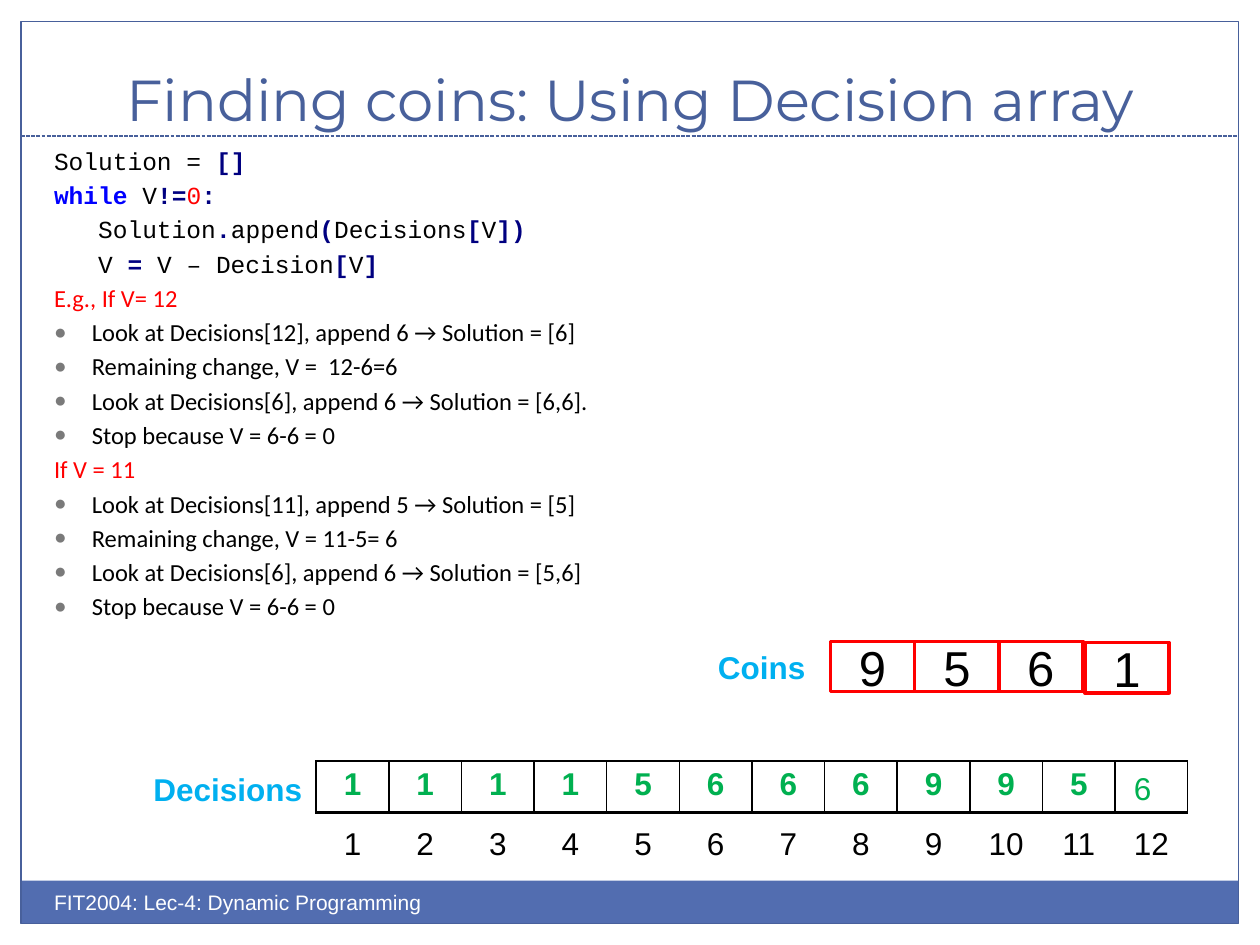
from dataclasses import dataclass

from lxml import etree
from pptx import Presentation
from pptx.dml.color import RGBColor
from pptx.enum.dml import MSO_LINE
from pptx.enum.shapes import MSO_CONNECTOR, MSO_SHAPE
from pptx.enum.text import MSO_ANCHOR, PP_ALIGN
from pptx.oxml.ns import qn
from pptx.util import Pt

RECTANGLE = MSO_SHAPE.RECTANGLE
STRAIGHT = MSO_CONNECTOR.STRAIGHT
DASH = MSO_LINE.SQUARE_DOT
TOP, MIDDLE, BOTTOM = MSO_ANCHOR.TOP, MSO_ANCHOR.MIDDLE, MSO_ANCHOR.BOTTOM
LEFT, CENTER = PP_ALIGN.LEFT, PP_ALIGN.CENTER

COLORS = {
    "frame": "48609B", "bar": "526DB0", "white": "FFFFFF", "black": "000000",
    "operator": "000080", "keyword": "0000FF", "red": "FF0000",
    "bullet": "7A7A7A", "label": "00B0F0", "decision": "00B050",
}
TABLE_LEFT, CELL_WIDTH, CELL_HEIGHT = 180.7, 41.52, 29.2


@dataclass(frozen=True)
class Box:
    left: float
    top: float
    width: float
    height: float

    def lengths(self) -> tuple:
        return Pt(self.left), Pt(self.top), Pt(self.width), Pt(self.height)


@dataclass(frozen=True)
class Style:
    size: float
    color: str
    font: str = "Arial"
    bold: bool = False


@dataclass(frozen=True)
class Label:
    text: str
    box: Box
    style: Style
    align: PP_ALIGN = LEFT
    anchor: MSO_ANCHOR = TOP
    wrap: bool = True


@dataclass(frozen=True)
class Line:
    spans: tuple  # (text, style) pairs
    bullet: bool = False


def rgb(name: str) -> RGBColor:
    return RGBColor.from_string(COLORS[name])


def format_font(font, style: Style) -> None:
    font.name, font.size, font.bold = style.font, Pt(style.size), style.bold
    font.color.rgb = rgb(style.color)


def write(frame, text: str, style: Style, align: PP_ALIGN) -> None:
    frame.text = text
    para = frame.paragraphs[0]
    para.alignment = align
    format_font(para.runs[0].font, style)


def draw_label(page, label: Label):
    shape = page.shapes.add_textbox(*label.box.lengths())
    frame = shape.text_frame
    frame.word_wrap, frame.vertical_anchor = label.wrap, label.anchor
    write(frame, label.text, label.style, label.align)
    return shape


def draw_rectangle(page, box: Box, fill: str = "", line: str = "", weight: float = 0.75):
    shape = page.shapes.add_shape(RECTANGLE, *box.lengths())
    shape.shadow.inherit = False
    if fill:
        shape.fill.solid()
        shape.fill.fore_color.rgb = rgb(fill)
    else:
        shape.fill.background()
    if line:
        shape.line.color.rgb = rgb(line)
        shape.line.width = Pt(weight)
    else:
        shape.line.fill.background()
    return shape


def set_borders(cell, weights: dict) -> None:
    properties = cell._tc.get_or_add_tcPr()
    for position, (side, weight) in enumerate(weights.items()):
        border = etree.Element(qn(f"a:{side}"), w=str(Pt(weight)))
        if weight:
            fill = etree.SubElement(border, qn("a:solidFill"))
            etree.SubElement(fill, qn("a:srgbClr"), val=COLORS["black"])
        else:
            etree.SubElement(border, qn("a:noFill"))
        properties.insert(position, border)


def draw_row(page, top: float, values: list, style: Style, weights: dict) -> None:
    box = Box(TABLE_LEFT, top, CELL_WIDTH * len(values), CELL_HEIGHT)
    table = page.shapes.add_table(1, len(values), *box.lengths()).table
    table.first_row = table.horz_banding = False
    for column, value in enumerate(values):
        table.columns[column].width = Pt(CELL_WIDTH)
        cell = table.cell(0, column)
        cell.fill.background()
        set_borders(cell, weights)
        if value:
            write(cell.text_frame, value, style, CENTER)


def add_bullet(para) -> None:
    properties = para._p.get_or_add_pPr()
    properties.set("marL", str(Pt(21.6)))
    properties.set("indent", str(-Pt(21.6)))
    color = etree.SubElement(properties, qn("a:buClr"))
    etree.SubElement(color, qn("a:srgbClr"), val=COLORS["bullet"])
    etree.SubElement(properties, qn("a:buSzPct"), val="85000")
    etree.SubElement(properties, qn("a:buFont"), typeface="Arial")
    etree.SubElement(properties, qn("a:buChar"), char="●")


def draw_lines(page, box: Box, lines: list) -> None:
    frame = page.shapes.add_textbox(*box.lengths()).text_frame
    frame.word_wrap = True
    for index, line in enumerate(lines):
        para = frame.add_paragraph() if index else frame.paragraphs[0]
        para.line_spacing = Pt(19.6)
        if line.bullet:
            add_bullet(para)
        for text, style in line.spans:
            span = para.add_run()
            span.text = text
            format_font(span.font, style)


CODE = Style(14, "black", "Courier New")
OPERATOR = Style(14, "operator", "Courier New", True)
KEYWORD = Style(14, "keyword", "Courier New", True)
NUMBER = Style(14, "red", "Courier New")
STEP = Style(14, "black", "Calibri")
CASE = Style(14, "red", "Calibri")
LABEL = Style(18, "label", bold=True)

CODE_LINES = [
    Line((("Solution = ", CODE), ("[]", OPERATOR))),
    Line((("while", KEYWORD), (" V", CODE), ("!=", OPERATOR), ("0", NUMBER), (":", OPERATOR))),
    Line((("   Solution", CODE), (".", OPERATOR), ("append", CODE), ("(", OPERATOR),
          ("Decisions", CODE), ("[", OPERATOR), ("V", CODE), ("])", OPERATOR))),
    Line((("   V ", CODE), ("=", OPERATOR), (" V – Decision", CODE),
          ("[", OPERATOR), ("V", CODE), ("]", OPERATOR))),
]
CASES = {
    "E.g., If V= 12": [
        "Look at Decisions[12], append 6 → Solution = [6]", "Remaining change, V =  12-6=6",
        "Look at Decisions[6], append 6 → Solution = [6,6].", "Stop because V = 6-6 = 0"],
    "If V = 11": [
        "Look at Decisions[11], append 5 → Solution = [5]", "Remaining change, V = 11-5= 6",
        "Look at Decisions[6], append 6 → Solution = [5,6]", "Stop because V = 6-6 = 0"],
}
LABELS = [
    Label("Coins", Box(403.2, 366.5, 64.8, 29), LABEL, wrap=False),
    Label("Decisions", Box(80.6, 436.3, 100, 29), LABEL, wrap=False),
    Label("6", Box(640.8, 435.6, 24.5, 29), Style(18, "decision"), wrap=False),
    Label("FIT2004: Lec-4: Dynamic Programming", Box(23.8, 504.7, 360, 28.8), Style(12, "white")),
]
COINS = [("9", 474.5, 366.5), ("5", 522.7, 366.5), ("6", 570.6, 366.5), ("1", 619.9, 367.2)]


def main() -> None:
    deck = Presentation()
    deck.slide_width, deck.slide_height = Pt(720), Pt(540)
    page = deck.slides.add_slide(deck.slide_layouts[6])

    # Frame, footer bar and title rule
    draw_rectangle(page, Box(11.8, 503.3, 695.8, 24.5), fill="bar")
    draw_rectangle(page, Box(12, 12.2, 695.8, 515.6), line="frame")
    rule = page.shapes.add_connector(STRAIGHT, Pt(12), Pt(77.8), Pt(707.8), Pt(77.8))
    rule.line.color.rgb, rule.line.width = rgb("frame"), Pt(0.75)
    rule.line.dash_style = DASH
    etree.SubElement(rule._element.spPr, qn("a:effectLst"))

    # Title
    title = draw_label(page, Label("Finding coins: Using Decision array", Box(24, 18, 672, 59.8),
                                   Style(33, "frame", "Montserrat"), CENTER, BOTTOM))
    title.text_frame.margin_bottom = Pt(1.5)

    # Code and worked cases
    lines = list(CODE_LINES)
    for case, steps in CASES.items():
        lines.append(Line(((case, CASE),)))
        lines += [Line(((step, STEP),), bullet=True) for step in steps]
    draw_lines(page, Box(23.8, 77, 612, 282), lines)

    # Coins
    for value, left, top in COINS:
        coin = draw_rectangle(page, Box(left, top, 48.2, 28.8), line="red", weight=2)
        coin.text_frame.vertical_anchor = MIDDLE
        write(coin.text_frame, value, Style(28, "black"), CENTER)

    # Decision array; its last value is a separate label
    draw_row(page, 434.9, list("11115666995") + [""], Style(18, "decision", bold=True),
             {"lnL": 1, "lnR": 1, "lnT": 1, "lnB": 2})
    draw_row(page, 468.7, [str(value) for value in range(1, 13)], Style(18, "black"),
             dict.fromkeys(("lnL", "lnR", "lnT", "lnB"), 0))
    for label in LABELS:
        draw_label(page, label)

    deck.save("out.pptx")


if __name__ == "__main__":
    main()
